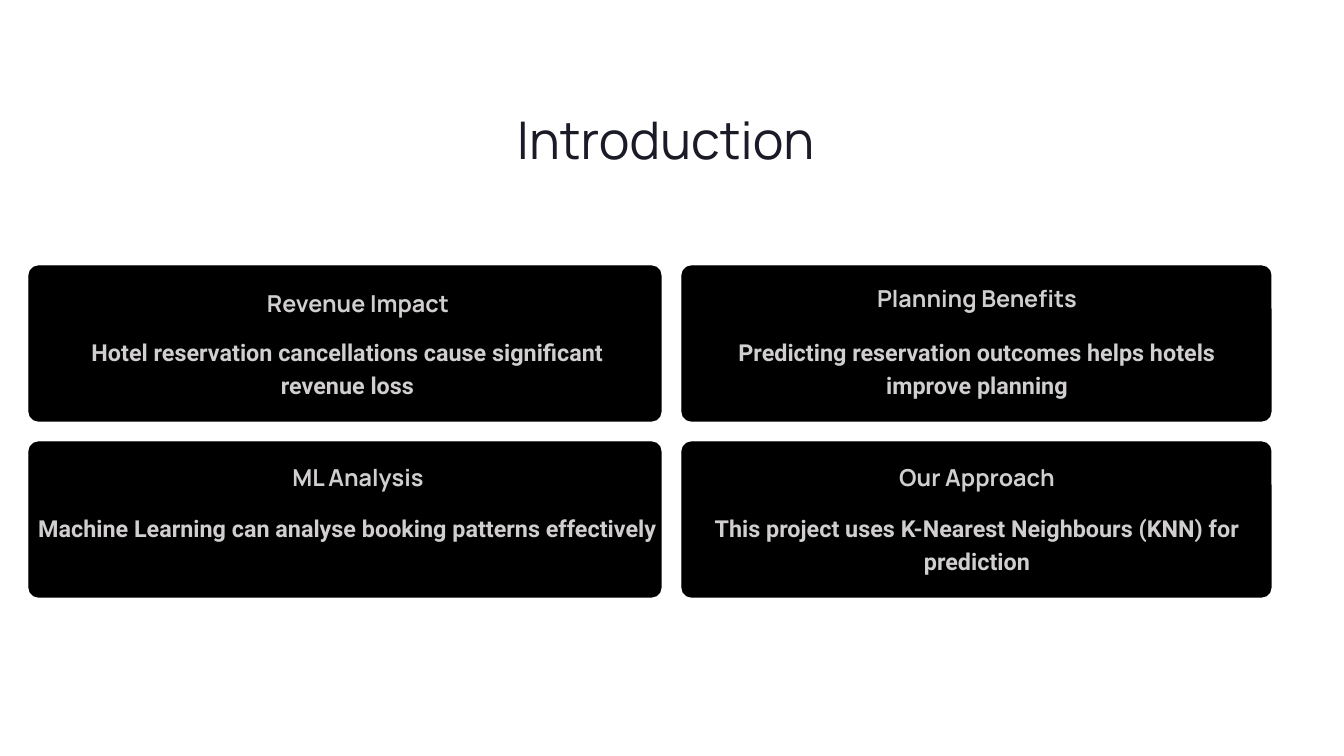
from dataclasses import dataclass

from pptx import Presentation
from pptx import util as u
from pptx.dml.color import RGBColor
from pptx.enum import shapes, text

SCALE = 914400 / 84


@dataclass(frozen=True)
class Theme:
    ink: RGBColor = RGBColor(0x1B, 0x1B, 0x27)
    card: RGBColor = RGBColor(0, 0, 0)
    pale: RGBColor = RGBColor(0xD0, 0xCE, 0xCE)
    heading_font: str = "Manrope"
    body_font: str = "Roboto"
    title_size: float = 44.5
    card_size: float = 20
    title_leading: float = 55.5
    heading_leading: float = 27.5
    body_leading: float = 28.5


THEME = Theme()
COLUMNS = [
    {"card": (29, 632), "heading": (218, 280), "body": (55, 585)},
    {"card": (682, 589), "heading": (847, 260), "body": (704, 546)},
]
ROW_TOP, ROW_STEP, CARD_HEIGHT = 266, 176, 155
BODY_OFFSET = 67
CARDS = [
    ("Revenue Impact", "Hotel reservation cancellations cause significant revenue loss", 19, 2),
    ("Planning Benefits", "Predicting reservation outcomes helps hotels improve planning", 14, 2),
    ("ML Analysis", "Machine Learning can analyse booking patterns effectively", 17, 1),
    ("Our Approach", "This project uses K-Nearest Neighbours (KNN) for prediction", 17, 2),
]


def px(n):
    return round(n * SCALE)


def write(sp, words, font, size, color, leading, align, bold=False, wrap=False):
    tf = sp.text_frame
    tf.text = words
    tf.auto_size = text.MSO_AUTO_SIZE.NONE
    tf.word_wrap = wrap
    tf.vertical_anchor = text.MSO_ANCHOR.TOP
    tf.margin_left = tf.margin_right = tf.margin_top = tf.margin_bottom = 0
    p = tf.paragraphs[0]
    p.alignment = align
    p.line_spacing = u.Pt(leading)
    p.space_before = u.Pt(0)
    r = p.runs[0]
    r.font.name = font
    r.font.size = u.Pt(size)
    r.font.bold = bold
    r.font.color.rgb = color


def add_title(s, words):
    sp = s.shapes.title
    sp.left, sp.top, sp.width, sp.height = px(517), px(105), px(521), px(66)
    write(sp, words, THEME.heading_font, THEME.title_size, THEME.ink,
          THEME.title_leading, text.PP_ALIGN.LEFT)


def add_block(s, kind, x, y, w, h):
    sp = s.shapes.add_shape(kind, px(x), px(y), px(w), px(h))
    sp.shadow.inherit = False
    sp.fill.solid()
    sp.fill.fore_color.rgb = THEME.card
    sp.line.color.rgb = THEME.card
    sp.line.width = u.Pt(1)
    return sp


def add_label(s, span, y, h, words, font, leading, wrap=False):
    x, w = span
    sp = add_block(s, shapes.MSO_SHAPE.RECTANGLE, x, y, w, h)
    write(sp, words, font, THEME.card_size, THEME.pale, leading,
          text.PP_ALIGN.CENTER, bold=True, wrap=wrap)


def add_card(s, column, y, heading, body, heading_offset, lines):
    x, w = column["card"]
    sp = add_block(s, shapes.MSO_SHAPE.ROUNDED_RECTANGLE, x, y, w, CARD_HEIGHT)
    sp.adjustments[0] = 0.06
    add_label(s, column["heading"], y + heading_offset, 33, heading,
              THEME.heading_font, THEME.heading_leading)
    add_label(s, column["body"], y + BODY_OFFSET, 33 * lines, body,
              THEME.body_font, THEME.body_leading, wrap=lines > 1)


def main():
    prs = Presentation()
    prs.slide_width, prs.slide_height = px(16 * 84), px(9 * 84)
    s = prs.slides.add_slide(prs.slide_layouts[5])
    add_title(s, "Introduction")
    for i, card in enumerate(CARDS):
        row, col = divmod(i, len(COLUMNS))
        add_card(s, COLUMNS[col], ROW_TOP + row * ROW_STEP, *card)
    prs.save("out.pptx")


if __name__ == "__main__":
    main()
